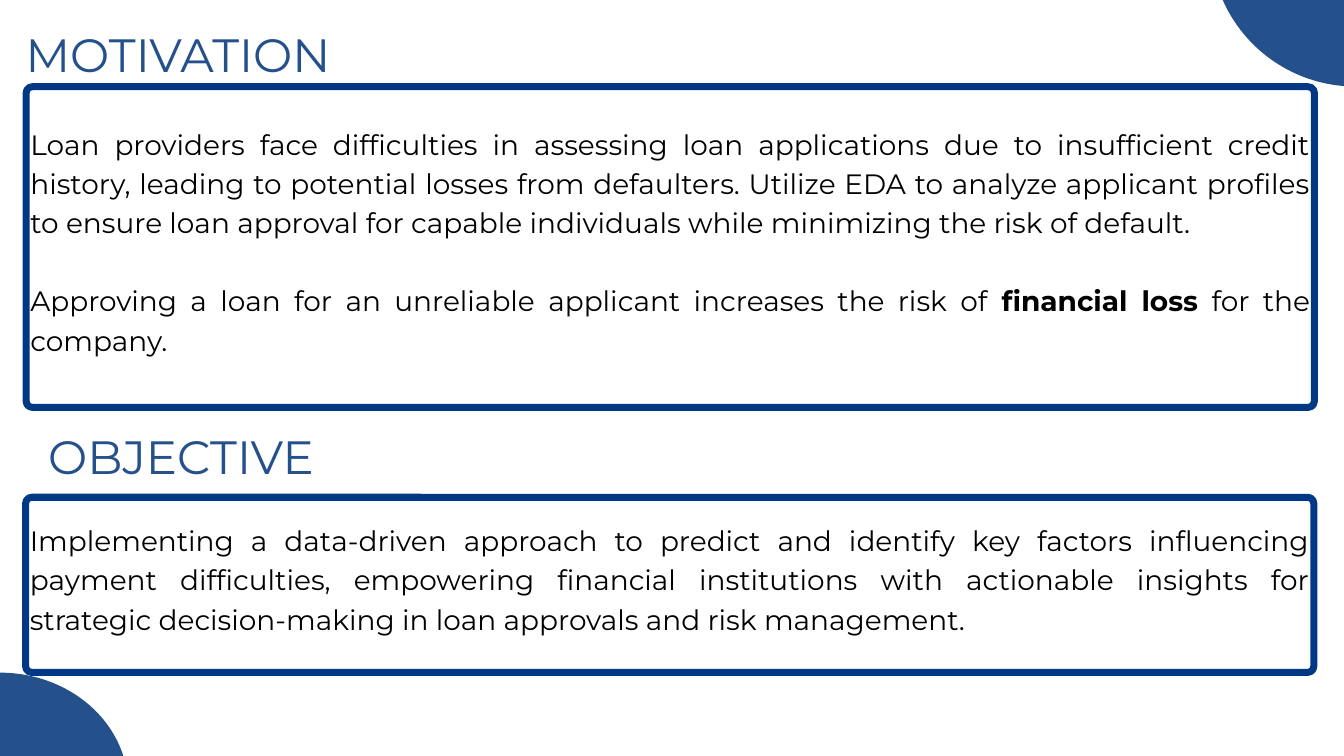
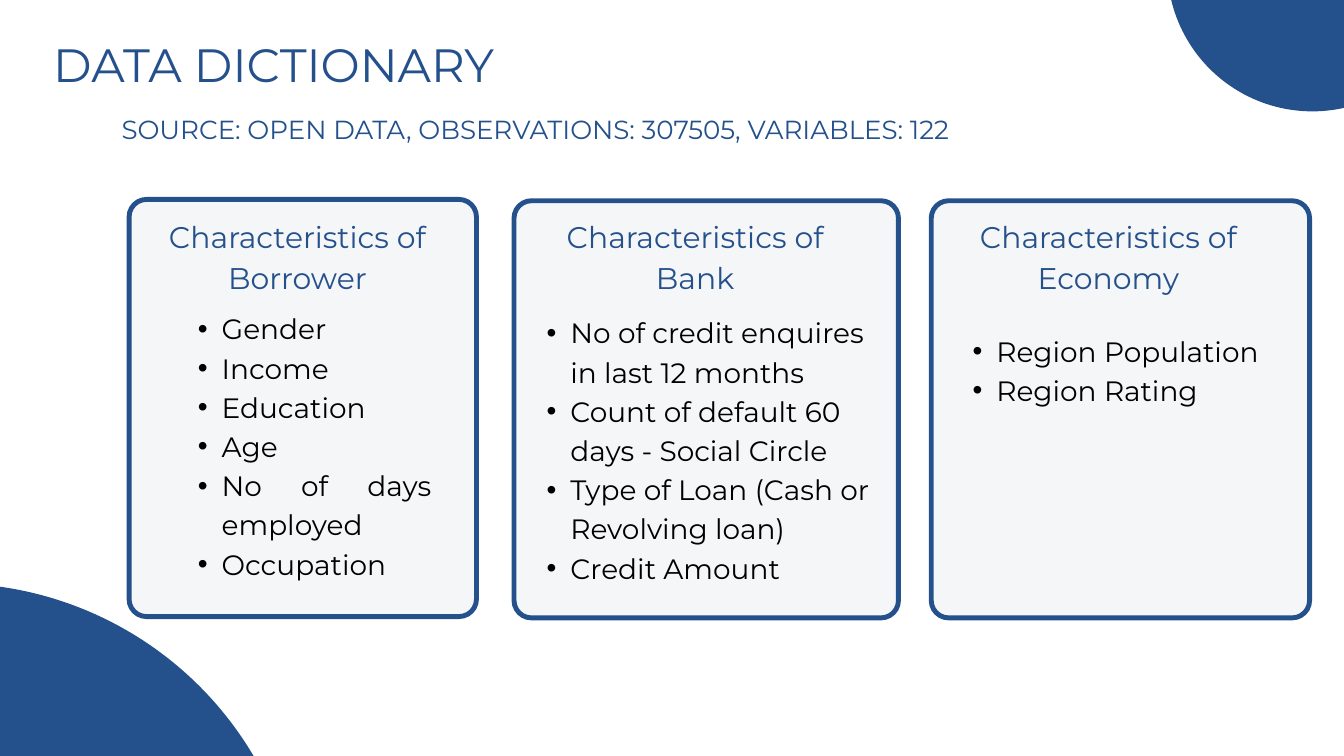
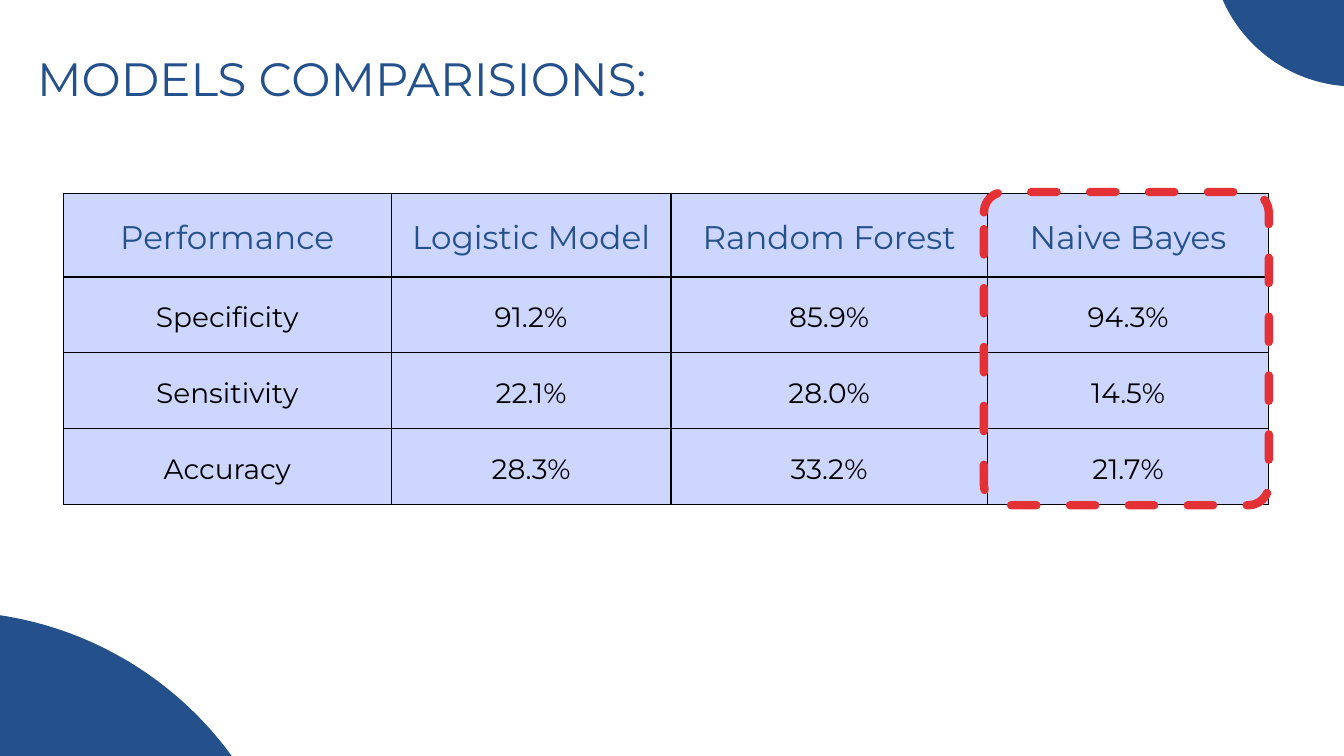
from collections import namedtuple

from lxml.etree import SubElement
from pptx import Presentation
from pptx.dml.color import RGBColor
from pptx.enum.dml import MSO_LINE
from pptx.enum.shapes import MSO_SHAPE
from pptx.enum.text import MSO_ANCHOR, MSO_AUTO_SIZE, PP_ALIGN
from pptx.oxml.ns import qn
from pptx.util import Cm, Pt

BLUE = RGBColor(0x24, 0x50, 0x8C)
NAVY = RGBColor(0x00, 0x38, 0x84)
BLACK = RGBColor(0x00, 0x00, 0x00)
WHITE = RGBColor(0xFF, 0xFF, 0xFF)
PALE_GREY = RGBColor(0xF5, 0xF6, 0xF7)
LAVENDER = RGBColor(0xCD, 0xD6, 0xFF)
RED = RGBColor(0xE3, 0x31, 0x36)

FONT = "Montserrat"
TITLE_ONLY = 5
HEADING = dict(size=50, color=BLUE)

Box = namedtuple("Box", "left top width height")
Card = namedtuple("Card", "box heading heading_box items items_box align")

TOP_DISC = Box(45.75, -7.7, 10.97, 10.97)

MOTIVATION = [
    "Loan providers face difficulties in assessing loan applications due to "
    "insufficient credit history, leading to potential losses from defaulters. "
    "Utilize EDA to analyze applicant profiles to ensure loan approval for "
    "capable individuals while minimizing the risk of default.",
    "Approving a loan for an unreliable applicant increases the risk of "
    "financial loss for the company.",
]
OBJECTIVE = [
    "Implementing a data-driven approach to predict and identify key factors "
    "influencing payment difficulties, empowering financial institutions with "
    "actionable insights for strategic decision-making in loan approvals and "
    "risk management.",
]
CARDS = [
    Card(Box(4.88, 7.54, 13.13, 15.77),
         "Characteristics of Borrower", Box(0.23, 0.49, 12.27, 3.05),
         ["Gender", "Income", "Education", "Age", "No of days employed",
          "Occupation"], Box(1.7, 4.04, 9.73, 10.31), PP_ALIGN.JUSTIFY),
    Card(Box(19.43, 7.59, 14.53, 15.77),
         "Characteristics of Bank", Box(0.71, 0.44, 12.27, 3.05),
         ["No of credit enquires in last 12 months",
          "Count of default 60 days - Social Circle",
          "Type of Loan (Cash or Revolving loan)",
          "Credit Amount"], Box(0.33, 4.14, 13.92, 10.31), PP_ALIGN.LEFT),
    Card(Box(35.2, 7.59, 14.3, 15.77),
         "Characteristics of Economy", Box(-0.33, 0.44, 14.05, 3.05),
         ["Region Population", "Region Rating"],
         Box(0.66, 4.83, 12.98, 4.39), PP_ALIGN.LEFT),
]
PERFORMANCE = [
    ["Performance", "Logistic Model", "Random Forest", "Naive Bayes"],
    ["Specificity", "91.2%", "85.9%", "94.3%"],
    ["Sensitivity", "22.1%", "28.0%", "14.5%"],
    ["Accuracy", "28.3%", "33.2%", "21.7%"],
]
COLUMN_WIDTHS = [12.4, 10.57, 11.96, 10.64]
ROW_HEIGHTS = [3.15, 2.87, 2.87, 2.87]


def in_cm(box):
    return [Cm(length) for length in box]


def within(outer, inner):
    return inner._replace(left=outer.left + inner.left, top=outer.top + inner.top)


def write_text(frame, paragraphs, size=30, color=BLACK, spacing=42,
               align=PP_ALIGN.LEFT, gap=0, bold_phrase=None, bulleted=False):
    for index, text in enumerate(paragraphs):
        paragraph = frame.add_paragraph() if index else frame.paragraphs[0]
        paragraph.alignment = align
        paragraph.line_spacing = Pt(spacing)
        paragraph.space_before = Pt(gap if index else 0)
        if bulleted:
            paragraph.level = 1
            properties = paragraph._p.get_or_add_pPr()
            properties.set("marL", str(Cm(1.8)))
            properties.set("indent", str(Cm(-0.9)))
            SubElement(properties, qn("a:buFont"), typeface="Arial")
            SubElement(properties, qn("a:buChar"), char="•")
        pieces = text.partition(bold_phrase) if bold_phrase else [text]
        for piece in filter(None, pieces):
            run = paragraph.add_run()
            run.text = piece
            run.font.name = FONT
            run.font.size = Pt(size)
            run.font.color.rgb = color
            run.font.bold = piece == bold_phrase


def set_frame(frame, left=0, top=0, right=0, bottom=0, anchor=MSO_ANCHOR.TOP):
    frame.word_wrap = True
    frame.auto_size = MSO_AUTO_SIZE.NONE
    frame.vertical_anchor = anchor
    frame.margin_left, frame.margin_top = Cm(left), Cm(top)
    frame.margin_right, frame.margin_bottom = Cm(right), Cm(bottom)


def add_text(slide, box, paragraphs, **text_format):
    frame = slide.shapes.add_textbox(*in_cm(box)).text_frame
    set_frame(frame)
    write_text(frame, paragraphs, **text_format)


def add_titled_slide(deck, title, box, spacing=70):
    slide = deck.slides.add_slide(deck.slide_layouts[TITLE_ONLY])
    heading = slide.shapes.title
    heading.left, heading.top, heading.width, heading.height = in_cm(box)
    set_frame(heading.text_frame)
    write_text(heading.text_frame, [title], spacing=spacing, **HEADING)
    return slide


def add_corner_discs(slide, *boxes):
    for box in boxes:
        disc = slide.shapes.add_shape(MSO_SHAPE.OVAL, *in_cm(box))
        disc.shadow.inherit = False
        disc.fill.solid()
        disc.fill.fore_color.rgb = BLUE
        disc.line.fill.background()


def add_rounded_frame(slide, box, radius, line_color, line_width, fill=None):
    outline = slide.shapes.add_shape(MSO_SHAPE.ROUNDED_RECTANGLE, *in_cm(box))
    outline.adjustments[0] = radius / min(box.width, box.height)
    outline.shadow.inherit = False
    if fill is None:
        outline.fill.background()
    else:
        outline.fill.solid()
        outline.fill.fore_color.rgb = fill
    outline.line.color.rgb = line_color
    outline.line.width = Pt(line_width)
    return outline


def add_statement(slide, box, paragraphs, **text_format):
    panel = add_rounded_frame(slide, box, 0.23, NAVY, 7.5, WHITE)
    set_frame(panel.text_frame, 0.09, 0.15, 0.09, 0.75, MSO_ANCHOR.MIDDLE)
    write_text(panel.text_frame, paragraphs, align=PP_ALIGN.JUSTIFY, **text_format)


def add_card(slide, card):
    add_rounded_frame(slide, card.box, 0.66, BLUE, 5.25, PALE_GREY)
    add_text(slide, within(card.box, card.heading_box), [card.heading],
             size=32, color=BLUE, spacing=44.8, align=PP_ALIGN.CENTER)
    add_text(slide, within(card.box, card.items_box), card.items,
             align=card.align, bulleted=True)


def format_cell(cell, text, **text_format):
    properties = cell._tc.get_or_add_tcPr()
    for side in ("lnL", "lnR", "lnT", "lnB"):
        border = SubElement(properties, qn(f"a:{side}"), w=str(Pt(1.5)))
        color = SubElement(border, qn("a:solidFill"))
        SubElement(color, qn("a:srgbClr"), val=str(BLACK))
    cell.fill.solid()
    cell.fill.fore_color.rgb = LAVENDER
    cell.vertical_anchor = MSO_ANCHOR.MIDDLE
    cell.margin_left = cell.margin_right = Cm(0.53)
    cell.margin_top = cell.margin_bottom = Cm(0.53)
    write_text(cell.text_frame, [text], align=PP_ALIGN.CENTER, **text_format)


def add_performance_table(slide, box):
    table = slide.shapes.add_table(
        len(ROW_HEIGHTS), len(COLUMN_WIDTHS), *in_cm(box)).table
    table.first_row = table.horz_banding = False
    for column, width in zip(table.columns, COLUMN_WIDTHS):
        column.width = Cm(width)
    for row, height in zip(table.rows, ROW_HEIGHTS):
        row.height = Cm(height)
    for row_index, values in enumerate(PERFORMANCE):
        style = {} if row_index else dict(size=35, color=BLUE, spacing=49)
        for column_index, value in enumerate(values):
            format_cell(table.cell(row_index, column_index), value, **style)


def add_best_model_highlight(slide, table_box):
    width = COLUMN_WIDTHS[-1] + 0.13
    box = Box(table_box.left + table_box.width - width, table_box.top - 0.06,
              width, table_box.height + 0.08)
    highlight = add_rounded_frame(slide, box, 0.77, RED, 9)
    highlight.line.dash_style = MSO_LINE.DASH
    highlight._element.spPr.find(qn("a:ln")).set("cap", "rnd")


def build_motivation(deck):
    slide = add_titled_slide(deck, "MOTIVATION", Box(0.97, 0.99, 15.27, 2.11), 60)
    add_corner_discs(slide, TOP_DISC)
    add_statement(slide, Box(0.99, 3.28, 48.69, 12.12), MOTIVATION,
                  gap=42, bold_phrase="financial loss")
    add_text(slide, Box(0, 16.51, 13.69, 1.83), ["OBJECTIVE"], spacing=50,
             align=PP_ALIGN.CENTER, **HEADING)
    add_statement(slide, Box(0.97, 18.8, 48.69, 6.62), OBJECTIVE)
    add_corner_discs(slide, Box(-4.85, 25.43, 9.7, 8.69))


def build_data_dictionary(deck):
    slide = add_titled_slide(deck, "DATA DICTIONARY", Box(2.01, 0.99, 23.77, 2.36))
    add_corner_discs(slide, Box(44.12, -6.76, 10.97, 10.97),
                     Box(-15.14, 22.05, 26.57, 26.57))
    add_text(slide, Box(1.88, 4.09, 36.7, 1.32),
             ["SOURCE: OPEN DATA, OBSERVATIONS: 307505, VARIABLES: 122"],
             size=28, color=BLUE, spacing=39.2, align=PP_ALIGN.CENTER)
    for card in CARDS:
        add_card(slide, card)


def build_model_comparison(deck):
    slide = add_titled_slide(deck, "MODELS COMPARISIONS:",
                             Box(1.4, 1.55, 35.23, 2.36))
    table_box = Box(2.39, 7.32, sum(COLUMN_WIDTHS), sum(ROW_HEIGHTS))
    add_performance_table(slide, table_box)
    add_corner_discs(slide, TOP_DISC, Box(-15.27, 23.11, 26.57, 26.57))
    add_best_model_highlight(slide, table_box)


def main():
    deck = Presentation()
    deck.slide_width, deck.slide_height = Cm(50.8), Cm(28.58)
    build_motivation(deck)
    build_data_dictionary(deck)
    build_model_comparison(deck)
    deck.save("out.pptx")


if __name__ == "__main__":
    main()
